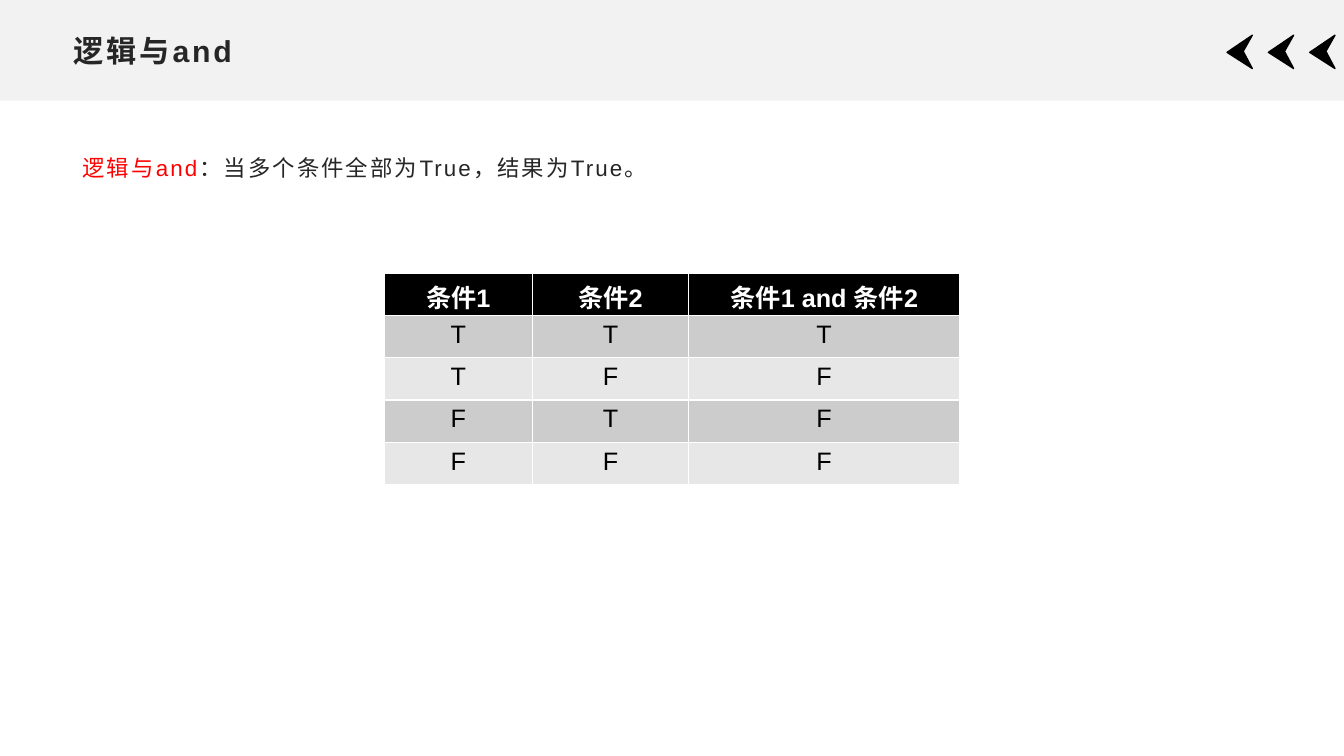
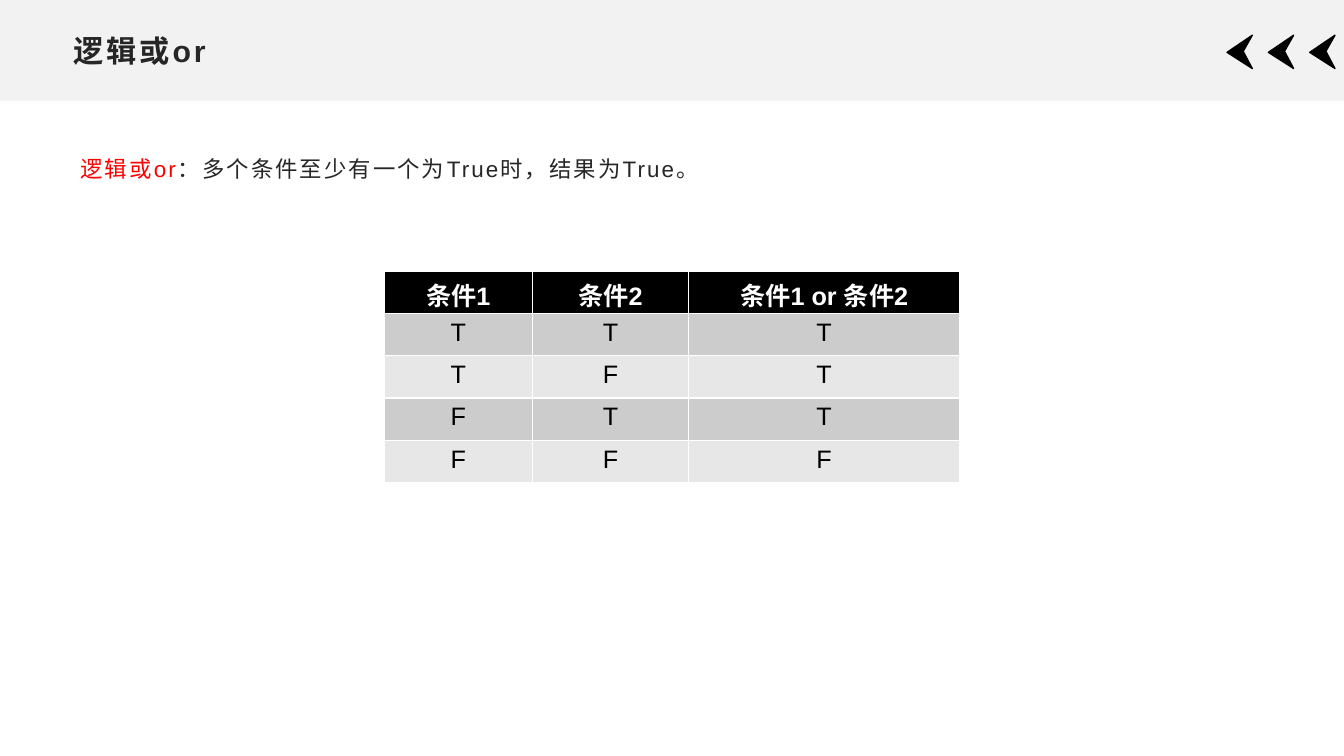
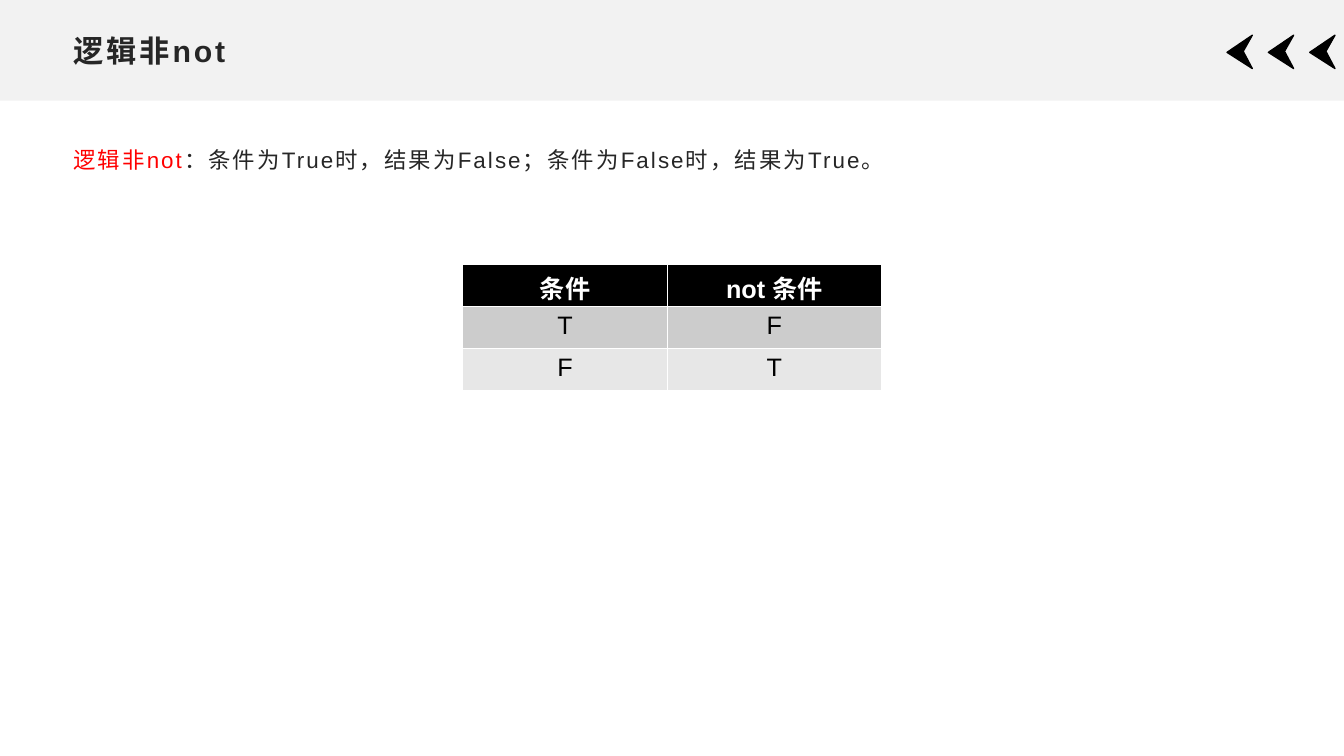
from dataclasses import dataclass

from pptx import Presentation
from pptx.dml.color import RGBColor
from pptx.enum.lang import MSO_LANGUAGE_ID
from pptx.enum.shapes import MSO_SHAPE
from pptx.enum.text import MSO_ANCHOR, PP_ALIGN
from pptx.util import Inches, Pt

RECTANGLE = MSO_SHAPE.RECTANGLE
MIDDLE = MSO_ANCHOR.MIDDLE
CENTER = PP_ALIGN.CENTER
CHINESE = MSO_LANGUAGE_ID.SIMPLIFIED_CHINESE


@dataclass(frozen=True)
class Theme:
    font: str = "Arial"
    band: RGBColor = RGBColor(0xF2, 0xF2, 0xF2)
    ink: RGBColor = RGBColor(0x26, 0x26, 0x26)
    accent: RGBColor = RGBColor(0xFF, 0x00, 0x00)
    black: RGBColor = RGBColor(0x00, 0x00, 0x00)
    white: RGBColor = RGBColor(0xFF, 0xFF, 0xFF)
    row_fills: tuple = (RGBColor(0xCC, 0xCC, 0xCC), RGBColor(0xE7, 0xE7, 0xE7))
    title_size: float = 21.6
    body_size: float = 16
    table_size: float = 18


THEME = Theme()
SLIDE_WIDTH = 13.33
ROW_HEIGHT = 0.42
ARROW_LEFT, ARROW_STEP = 12.17, 0.41
ARROW_OUTLINE = [(0.25, 0.68), (0, 0.52), (0.25, 0.35), (0.16, 0.51)]

TOPICS = [
    {
        "title": "逻辑与and",
        "rule": "：当多个条件全部为True，结果为True。",
        "rule_box": (0.72, 1.4, 6.19, 0.61),
        "table_top": 2.71,
        "columns": (1.47, 1.55, 2.69),
        "rows": [("条件1", "条件2", "条件1 and 条件2"), "TTT", "TFF", "FTF", "FFF"],
    },
    {
        "title": "逻辑或or",
        "rule": "：多个条件至少有一个为True时，结果为True。",
        "rule_box": (0.7, 1.41, 6.42, 0.61),
        "table_top": 2.69,
        "columns": (1.47, 1.55, 2.69),
        "rows": [("条件1", "条件2", "条件1 or 条件2"), "TTT", "TFT", "FTT", "FFF"],
    },
    {
        "title": "逻辑非not",
        "rule": "：条件为True时，结果为False；条件为False时，结果为True。",
        "rule_box": (0.63, 1.32, 8.43, 0.61),
        "table_top": 2.62,
        "columns": (2.03, 2.12),
        "rows": [("条件", "not 条件"), "TF", "FT"],
    },
]


def add_text(para, text, size, color, bold=False, spacing=0):
    """Append a formatted run; spacing is the letter spacing in points."""
    span = para.add_run()
    span.text = text
    span.font.name = THEME.font
    span.font.size = Pt(size)
    span.font.bold = bold
    span.font.color.rgb = color
    span.font.language_id = CHINESE
    if spacing:
        span._r.get_or_add_rPr().set("spc", str(int(spacing * 100)))


def add_text_box(page, left, top, width, height):
    box = page.shapes.add_textbox(Inches(left), Inches(top), Inches(width), Inches(height))
    box.text_frame.word_wrap = True
    return box.text_frame


deck = Presentation()
deck.slide_width = Inches(SLIDE_WIDTH)
deck.slide_height = Inches(7.5)
blank = deck.slide_layouts[6]

for topic in TOPICS:
    page = deck.slides.add_slide(blank)

    # Header band with its arrows
    band = page.shapes.add_shape(RECTANGLE, 0, 0, deck.slide_width, Inches(1))
    band.shadow.inherit = False
    band.fill.solid()
    band.fill.fore_color.rgb = THEME.band
    band.line.fill.background()

    for index in range(3):
        left = ARROW_LEFT + index * ARROW_STEP
        points = [(Inches(left + x), Inches(y)) for x, y in ARROW_OUTLINE]
        outline = page.shapes.build_freeform(*points[0])
        outline.add_line_segments(points[1:], close=True)
        arrow = outline.convert_to_shape()
        arrow.shadow.inherit = False
        arrow.fill.solid()
        arrow.fill.fore_color.rgb = THEME.black
        arrow.line.color.rgb = THEME.black
        arrow.line.width = Pt(1)

    title = add_text_box(page, 0.63, 0.26, 12.07, 0.48)
    title.vertical_anchor = MIDDLE
    add_text(title.paragraphs[0], topic["title"], THEME.title_size, THEME.ink,
             bold=True, spacing=2)

    # Rule in words
    para = add_text_box(page, *topic["rule_box"]).paragraphs[0]
    para.line_spacing = 1.3
    para.space_after = Pt(10)
    add_text(para, topic["title"], THEME.body_size, THEME.accent, spacing=1.5)
    add_text(para, topic["rule"], THEME.body_size, THEME.ink, spacing=1.5)

    # Truth table, centred on the page; the default style draws its white rules
    rows, columns = topic["rows"], topic["columns"]
    width = sum(columns)
    table = page.shapes.add_table(
        len(rows), len(columns), Inches((SLIDE_WIDTH - width) / 2),
        Inches(topic["table_top"]), Inches(width), Inches(ROW_HEIGHT * len(rows))).table
    for column, column_width in zip(table.columns, columns):
        column.width = Inches(column_width)
    for row_index, values in enumerate(rows):
        header = row_index == 0
        fill = THEME.black if header else THEME.row_fills[(row_index - 1) % 2]
        for column_index, value in enumerate(values):
            cell = table.cell(row_index, column_index)
            cell.fill.solid()
            cell.fill.fore_color.rgb = fill
            para = cell.text_frame.paragraphs[0]
            para.alignment = CENTER
            add_text(para, value, THEME.table_size,
                     THEME.white if header else THEME.black, bold=header)

deck.save("out.pptx")
